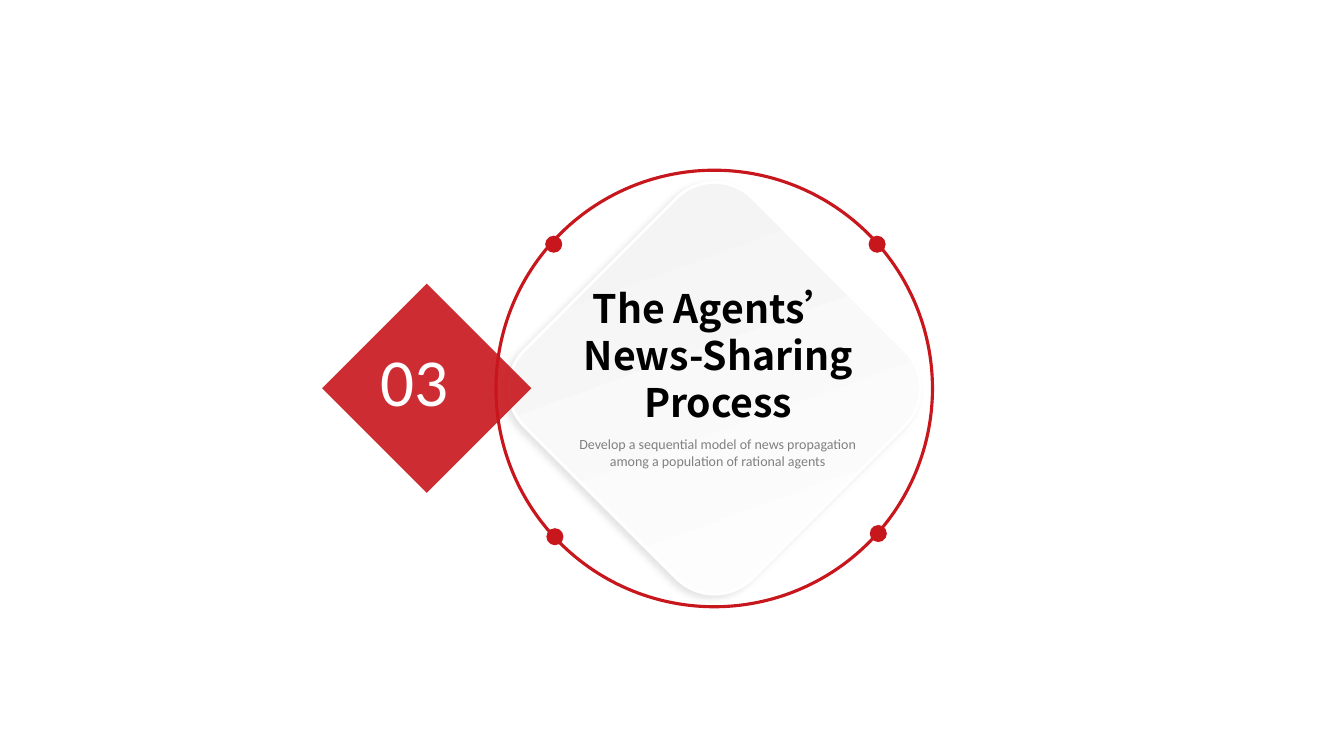
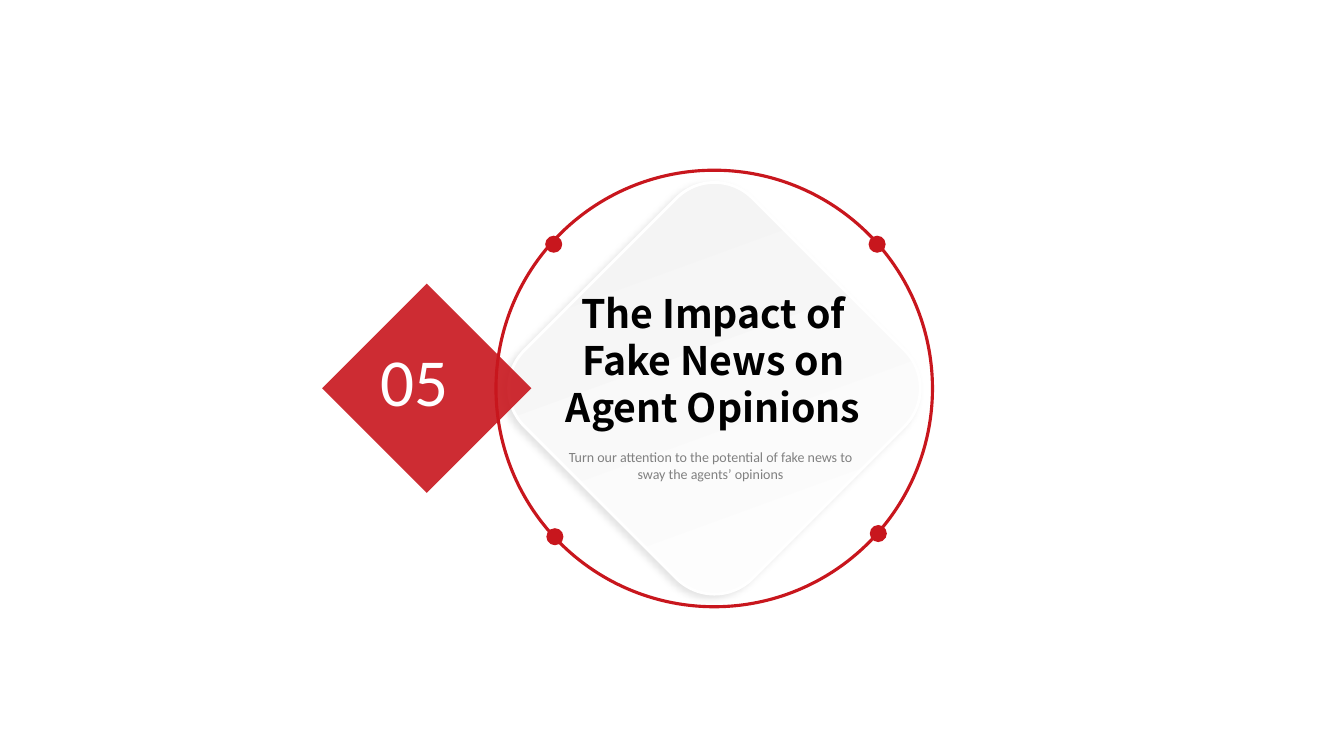
from lxml import etree
from pptx import Presentation
from pptx.dml.color import RGBColor
from pptx.enum import shapes, text
from pptx.oxml import ns
from pptx.util import Cm, Pt

COLORS = {"red": "C8161D", "white": "FFFFFF", "mist": "F2F2F2",
          "black": "000000", "gray": "808080"}
TITLE_FONT, BODY_FONT = "Noto Sans CJK SC", "Calibri"

DOT_SIZE = 0.43
DOT_CORNERS = [(13.74, 5.94), (21.92, 13.23), (13.77, 13.31), (21.89, 5.94)]

# number, title, title corner, summary, summary corner
SECTIONS = [
    ("03", "The Agents’ News-Sharing Process", (13.64, 7.04),
     "Develop a sequential model of news propagation among a population "
     "of rational agents", (14.15, 10.85)),
    ("05", "The Impact of Fake News on Agent Opinions", (13.51, 7.16),
     "Turn our attention to the potential of fake news to sway the agents’ "
     "opinions", (13.97, 11.18)),
]


def rgb(name):
    return RGBColor.from_string(COLORS[name])


def sub(parent, tag, **attributes):
    return etree.SubElement(parent, ns.qn(tag), attributes)


def add_figure(slide, preset, left, top, size, fill=None, line=None, weight=0):
    """Add a square-framed shape with an optional solid fill and outline."""
    figure = slide.shapes.add_shape(preset, Cm(left), Cm(top), Cm(size), Cm(size))
    figure.shadow.inherit = False
    if fill:
        figure.fill.solid()
        figure.fill.fore_color.rgb = rgb(fill)
    else:
        figure.fill.background()
    if line:
        figure.line.color.rgb = rgb(line)
        figure.line.width = Pt(weight)
    else:
        figure.line.fill.background()
    return figure


def add_label(slide, words, corner, width, height, font, size, color,
              bold=False, align=text.PP_ALIGN.CENTER, wrap=True):
    label = slide.shapes.add_textbox(*map(Cm, (*corner, width, height)))
    frame = label.text_frame
    frame.text = words
    frame.word_wrap = wrap
    frame.auto_size = text.MSO_AUTO_SIZE.SHAPE_TO_FIT_TEXT
    paragraph = frame.paragraphs[0]
    paragraph.alignment = align
    run = paragraph.runs[0]
    run.font.name, run.font.size, run.font.bold = font, Pt(size), bold
    run.font.color.rgb = rgb(color)
    sub(run.font._element, "a:ea", typeface=font)


def add_card(slide):
    """Add the rounded card with its gradient and soft shadow."""
    card = add_figure(slide, shapes.MSO_SHAPE.ROUNDED_RECTANGLE,
                      13.94, 5.72, 8.13, line="white", weight=2)
    card.rotation = 45
    card.fill.gradient()
    card.fill.gradient_angle = 110
    for stop, color in zip(card.fill.gradient_stops, ("white", "mist")):
        stop.color.rgb = rgb(color)
    properties = card._element.spPr
    properties.find(ns.qn("a:gradFill")).set("rotWithShape", "0")
    shadow = sub(properties.find(ns.qn("a:effectLst")), "a:outerShdw",
                 blurRad=str(Pt(5)), dist=str(Pt(4)), dir=str(155 * 60000),
                 rotWithShape="0")
    tint = sub(shadow, "a:srgbClr", val=COLORS["black"])
    sub(tint, "a:alpha", val="11000")


def add_ring(slide):
    oval = shapes.MSO_SHAPE.OVAL
    add_figure(slide, oval, 12.5, 4.29, 11, line="red", weight=2.25)
    for left, top in DOT_CORNERS:
        add_figure(slide, oval, left, top, DOT_SIZE, fill="red")


def add_number(slide, number):
    """Add the translucent diamond and the section number on it."""
    diamond = add_figure(slide, shapes.MSO_SHAPE.RECTANGLE,
                         8.89, 7.92, 3.73, fill="red")
    diamond.rotation = 45
    tint = diamond._element.spPr.find(ns.qn("a:solidFill"))[0]
    sub(tint, "a:alpha", val="90000")
    add_label(slide, number, (9.35, 8.43), 2.26, 2.31, BODY_FONT, 48, "white",
              align=text.PP_ALIGN.LEFT, wrap=False)


def add_section(deck, number, title, title_corner, summary, summary_corner):
    slide = deck.slides.add_slide(deck.slide_layouts[6])
    add_card(slide)
    add_ring(slide)
    add_label(slide, title, title_corner, 8.92, 3.84, TITLE_FONT, 28, "black",
              bold=True)
    add_label(slide, summary, summary_corner, 7.87, 1.12, BODY_FONT, 10, "gray")
    add_number(slide, number)


def main():
    deck = Presentation()
    deck.slide_width, deck.slide_height = Cm(33.87), Cm(19.05)
    for section in SECTIONS:
        add_section(deck, *section)
    deck.save("out.pptx")


if __name__ == "__main__":
    main()
